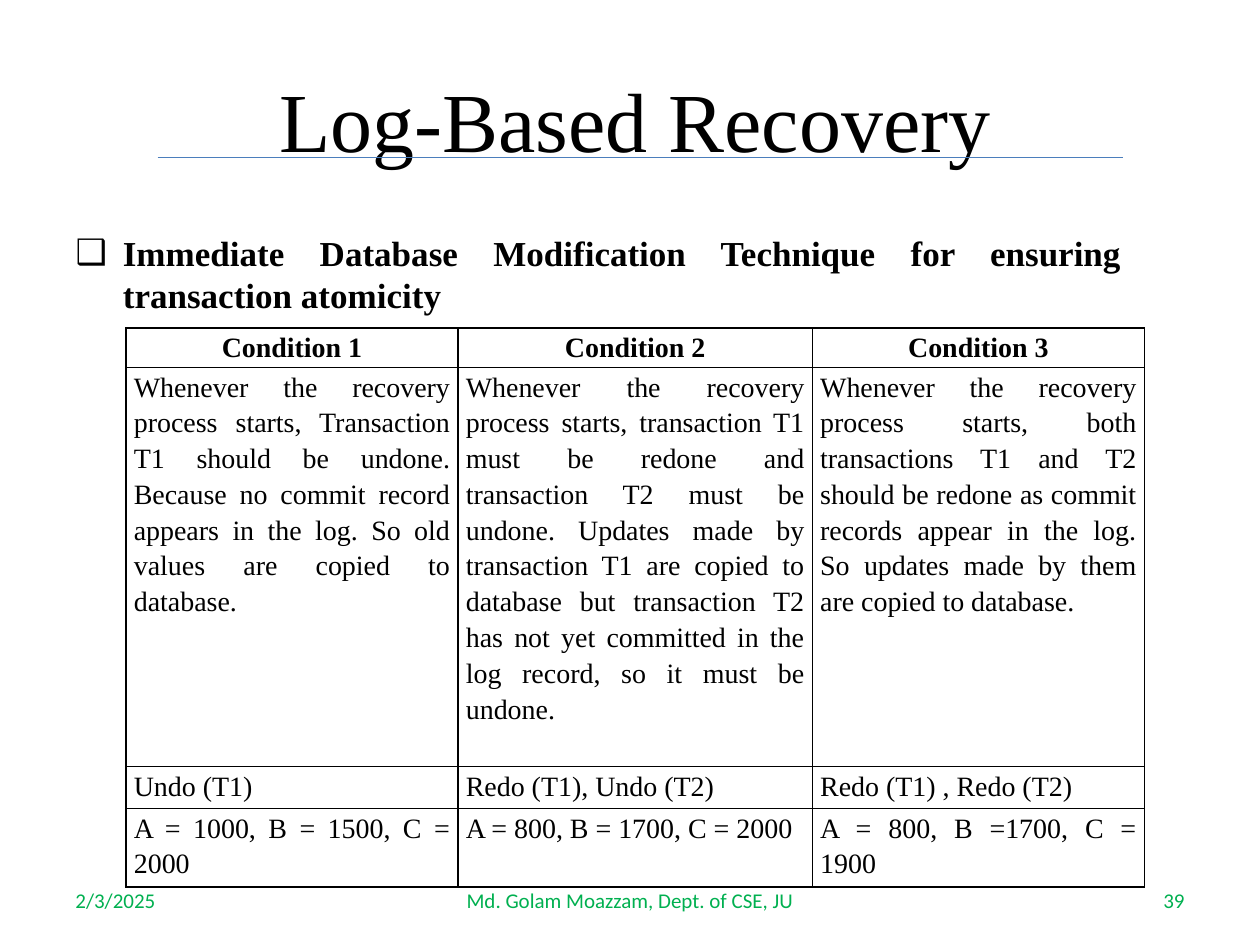
from dataclasses import dataclass

from lxml.etree import SubElement
from pptx import Presentation
from pptx.dml.color import RGBColor
from pptx.enum.shapes import MSO_CONNECTOR
from pptx.enum.text import MSO_ANCHOR, MSO_AUTO_SIZE, PP_ALIGN
from pptx.oxml.ns import qn
from pptx.util import Pt

EMU_PER_PX = 9525


@dataclass(frozen=True)
class Theme:
    serif: str = "Times New Roman"
    sans: str = "Calibri"
    text: str = "000000"
    footer: str = "00B050"
    rule: str = "4B7EBC"
    title_size: int = 48
    body_size: int = 20
    table_size: int = 16
    footer_size: int = 12


THEME = Theme()

CONDITIONS = [
    ["Condition 1", "Condition 2", "Condition 3"],
    [
        "Whenever the recovery process starts, Transaction T1 should be undone. "
        "Because no commit record appears in the log. So old values are copied to database.",
        "Whenever the recovery process starts, transaction T1 must be redone and "
        "transaction T2 must be undone. Updates made by transaction T1 are copied to "
        "database but transaction T2 has not yet committed in the log record, so it must "
        "be undone.",
        "Whenever the recovery process starts, both transactions T1 and T2 should be "
        "redone as commit records appear in the log. So updates made by them are copied "
        "to database.",
    ],
    ["Undo (T1)", "Redo (T1), Undo (T2)", "Redo (T1) , Redo (T2)"],
    ["A = 1000, B = 1500, C = 2000", "A = 800, B = 1700, C = 2000", "A = 800, B =1700, C = 1900"],
]
COLUMN_WIDTHS = [253, 270, 253]
ROW_HEIGHTS = [30, 304, 32, 60]


def px(length):
    return length * EMU_PER_PX


def place(shape, box):
    shape.left, shape.top, shape.width, shape.height = map(px, box)


def style(paragraph, size, alignment, color=THEME.text, font=THEME.serif, bold=False):
    paragraph.alignment = alignment
    paragraph.space_before = Pt(0)
    for run in paragraph.runs:
        run.font.name = font
        run.font.size = Pt(size)
        run.font.bold = bold
        run.font.color.rgb = RGBColor.from_string(color)


def fill_placeholder(shape, box, text, top_inset):
    place(shape, box)
    frame = shape.text_frame
    frame.text = text
    frame.word_wrap = True
    frame.auto_size = MSO_AUTO_SIZE.NONE
    frame.vertical_anchor = MSO_ANCHOR.TOP
    frame.margin_top = px(top_inset)
    return frame.paragraphs[0]


def add_title(slide, box):
    paragraph = fill_placeholder(slide.shapes.title, box, "Log-Based Recovery", 12)
    style(paragraph, THEME.title_size, PP_ALIGN.CENTER)


def add_rule(slide, left, top, width):
    rule = slide.shapes.add_connector(
        MSO_CONNECTOR.STRAIGHT, px(left), px(top), px(left + width), px(top)
    )
    rule.line.color.rgb = RGBColor.from_string(THEME.rule)
    rule.line.width = Pt(0.75)
    SubElement(rule._element.spPr, qn("a:effectLst"))


def add_body(slide, box):
    paragraph = fill_placeholder(
        slide.placeholders[1],
        box,
        "Immediate Database Modification Technique for ensuring transaction atomicity",
        8,
    )
    properties = paragraph._p.get_or_add_pPr()
    properties.set("marL", str(px(36)))
    properties.set("indent", str(px(-36)))
    SubElement(properties, qn("a:buFont")).set("typeface", "Arial")
    SubElement(properties, qn("a:buChar")).set("char", "❑")
    style(paragraph, THEME.body_size, PP_ALIGN.JUSTIFY, bold=True)


def add_borders(cell):
    properties = cell._tc.get_or_add_tcPr()
    for side in ("lnL", "lnR", "lnT", "lnB"):
        line = SubElement(properties, qn(f"a:{side}"), w=str(Pt(1)))
        fill = SubElement(line, qn("a:solidFill"))
        SubElement(fill, qn("a:srgbClr")).set("val", THEME.text)


def format_cell(cell, text, is_header):
    add_borders(cell)
    cell.fill.background()
    cell.margin_left = cell.margin_right = px(6)
    cell.margin_top = cell.margin_bottom = 0
    cell.vertical_anchor = MSO_ANCHOR.TOP
    cell.text_frame.text = text
    paragraph = cell.text_frame.paragraphs[0]
    paragraph.line_spacing = 1.15
    alignment = PP_ALIGN.CENTER if is_header else PP_ALIGN.JUSTIFY
    style(paragraph, THEME.table_size, alignment, bold=is_header)


def add_conditions_table(slide, left, top):
    table = slide.shapes.add_table(
        len(ROW_HEIGHTS), len(COLUMN_WIDTHS),
        px(left), px(top), px(sum(COLUMN_WIDTHS)), px(sum(ROW_HEIGHTS)),
    ).table
    table.first_row = table.horz_banding = False
    for column, width in zip(table.columns, COLUMN_WIDTHS):
        column.width = px(width)
    for row_index, (row, height) in enumerate(zip(table.rows, ROW_HEIGHTS)):
        row.height = px(height)
        for cell, text in zip(row.cells, CONDITIONS[row_index]):
            format_cell(cell, text, row_index == 0)


def add_footer(slide, box):
    left, top, width, height = box
    side_width, center_width = 224, 304
    parts = [
        ("2/3/2025", left, side_width, PP_ALIGN.LEFT),
        ("Md. Golam Moazzam, Dept. of CSE, JU", left + (width - center_width) // 2,
         center_width, PP_ALIGN.CENTER),
        ("39", left + width - side_width, side_width, PP_ALIGN.RIGHT),
    ]
    for text, part_left, part_width, alignment in parts:
        shape = slide.shapes.add_textbox(px(part_left), px(top), px(part_width), px(height))
        frame = shape.text_frame
        frame.word_wrap = True
        frame.vertical_anchor = MSO_ANCHOR.MIDDLE
        frame.text = text
        style(frame.paragraphs[0], THEME.footer_size, alignment, THEME.footer, THEME.sans)


def main():
    presentation = Presentation()
    presentation.slide_width, presentation.slide_height = px(960), px(720)
    slide = presentation.slides.add_slide(presentation.slide_layouts[1])
    add_footer(slide, (48, 667, 864, 38))
    add_rule(slide, 120, 120, 736)
    add_title(slide, (128, 40, 712, 80))
    add_body(slide, (48, 168, 816, 480))
    add_conditions_table(slide, 96, 250)
    presentation.save("out.pptx")


if __name__ == "__main__":
    main()
